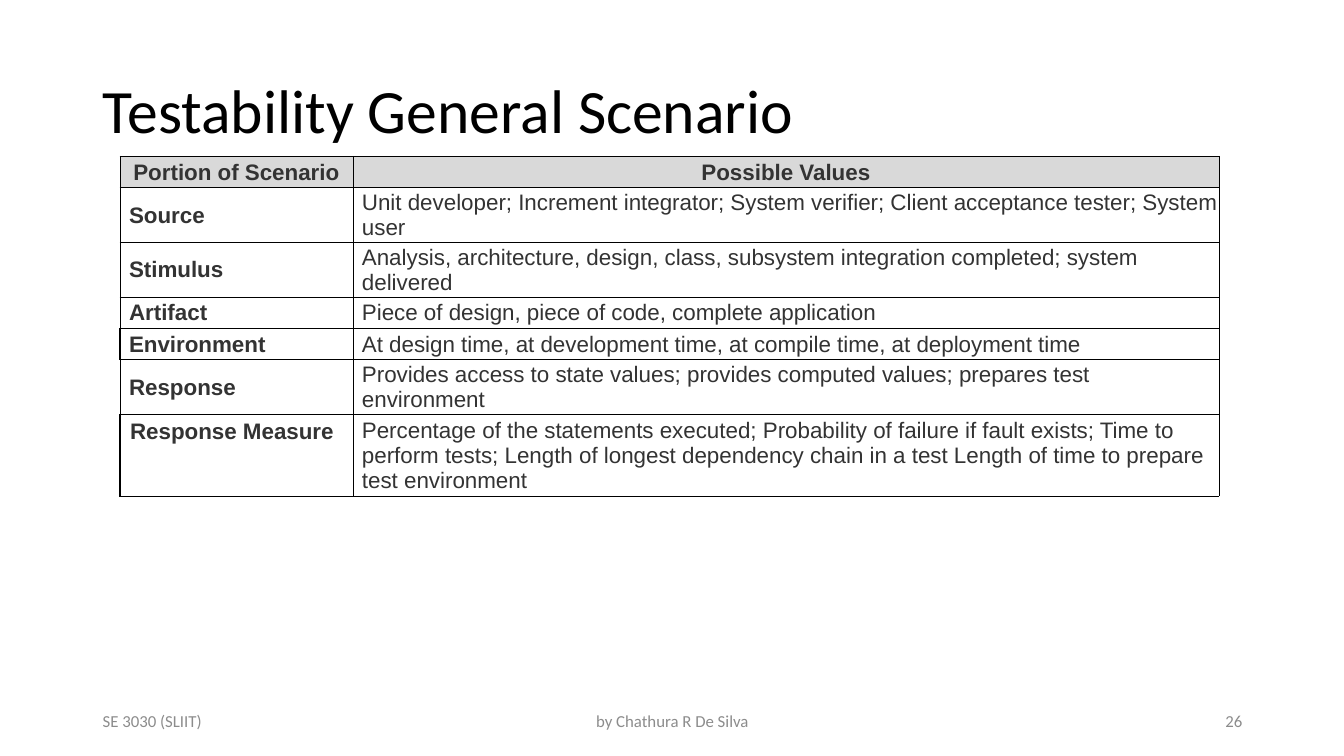
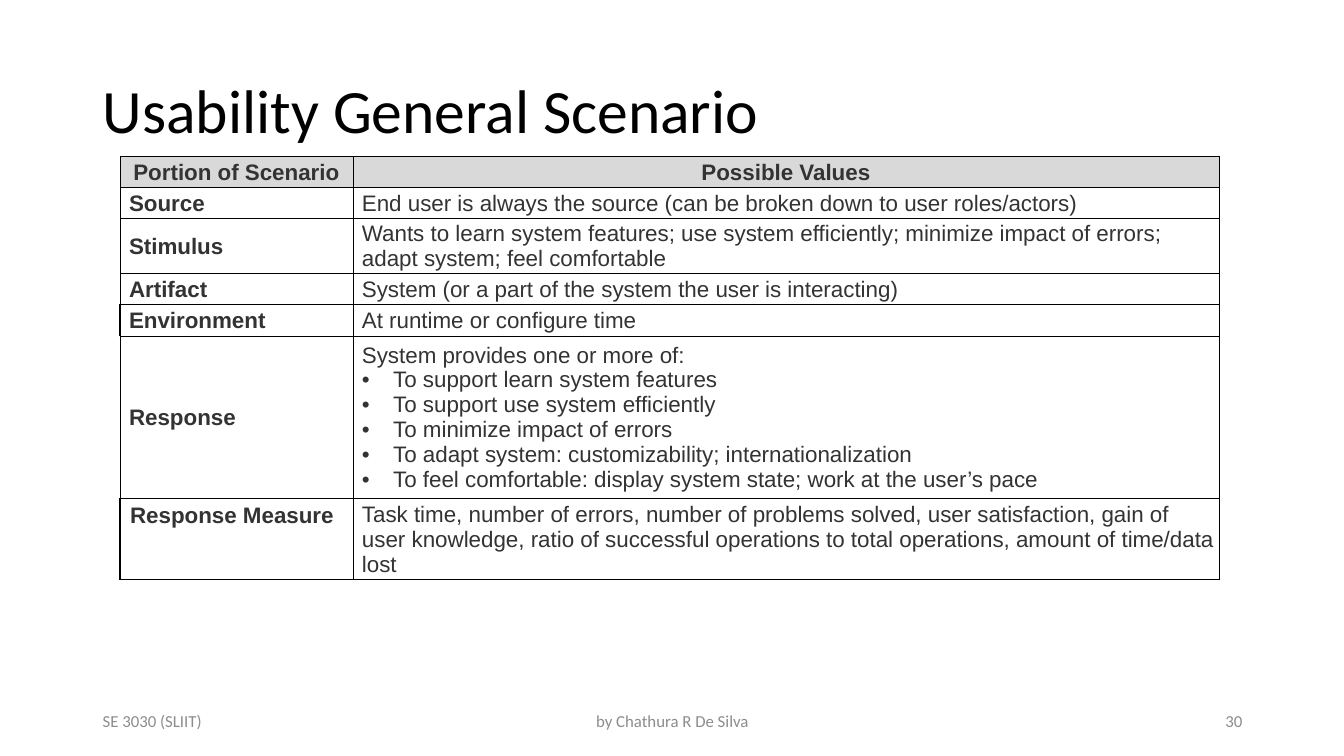
from lxml.etree import SubElement
from pptx import Presentation
from pptx.dml.color import RGBColor
from pptx.enum.text import MSO_ANCHOR, PP_ALIGN
from pptx.oxml import parse_xml
from pptx.oxml.ns import nsdecls, qn
from pptx.util import Inches, Pt

COLORS = {"title": "000000", "body": "333333", "footer": "8C8C8C",
          "header": "D9D9D9", "cell": "FFFFFF", "border": "000000"}
WIDTH, HEIGHT = 13.33, 7.5
TITLE_BOX = (0.92, 0.4, 11.5, 1.45)
FOOTER_BOX = (0.92, 6.95, 11.5, 0.4)
TABLE_BOX = (1.19, 1.55, 10.9, 0.31)
LABEL_SHARE = 2.31 / 10.9
BULLET_INDENT = 0.31
HEADINGS = ("Portion of Scenario", "Possible Values")
PORTIONS = ("Source", "Stimulus", "Artifact", "Environment", "Response", "Response Measure")
HEAVY_EDGES = {"Environment": ("L",), "Response Measure": ("L",)}

SCENARIOS = [
    ("Testability General Scenario", 26, [
        "Unit developer; Increment integrator; System verifier; Client acceptance tester; "
        "System user",
        "Analysis, architecture, design, class, subsystem integration completed; system delivered",
        "Piece of design, piece of code, complete application",
        "At design time, at development time, at compile time, at deployment time",
        "Provides access to state values; provides computed values; prepares test environment",
        "Percentage of the statements executed; Probability of failure if fault exists; "
        "Time to perform tests; Length of longest dependency chain in a test "
        "Length of time to prepare test environment",
    ]),
    ("Usability General Scenario", 30, [
        "End user is always the source (can be broken down to user roles/actors)",
        "Wants to learn system features; use system efficiently; minimize impact of errors; "
        "adapt system; feel comfortable",
        "System (or a part of the system the user is interacting)",
        "At runtime or configure time",
        ["System provides one or more of:",
         "To support learn system features",
         "To support use system efficiently",
         "To minimize impact of errors",
         "To adapt system: customizability; internationalization",
         "To feel comfortable: display system state; work at the user’s pace"],
        "Task time, number of errors, number of problems solved, user satisfaction, "
        "gain of user knowledge, ratio of successful operations to total operations, "
        "amount of time/data lost",
    ]),
]


def write_text(paragraph, text, size=16, font="Arial", color="body", bold=False,
               align=PP_ALIGN.LEFT, spacing=None):
    """Write one formatted run into a paragraph."""
    run = paragraph.add_run()
    run.text = text
    run.font.size = Pt(size)
    run.font.name = font
    run.font.bold = bold
    run.font.color.rgb = RGBColor.from_string(COLORS[color])
    paragraph.alignment = align
    if spacing:
        paragraph.line_spacing = spacing


def add_bullet(paragraph):
    """Give a paragraph a round bullet with a hanging indent."""
    properties = paragraph._p.get_or_add_pPr()
    properties.set("marL", str(Inches(BULLET_INDENT)))
    properties.set("indent", str(-Inches(BULLET_INDENT)))
    SubElement(properties, qn("a:buFont")).set("typeface", "Arial")
    SubElement(properties, qn("a:buChar")).set("char", "•")


def set_borders(cell, heavy=()):
    """Draw thin lines around a cell, thicker on the heavy edges."""
    properties = cell._tc.get_or_add_tcPr()
    for index, edge in enumerate("LRTB"):
        width = Pt(1 if edge in heavy else 0.5)
        properties.insert(index, parse_xml(
            f'<a:ln{edge} {nsdecls("a")} w="{width}"><a:solidFill>'
            f'<a:srgbClr val="{COLORS["border"]}"/></a:solidFill></a:ln{edge}>'))


def fill_cell(cell, content, fill="cell", left=0.09, anchor=MSO_ANCHOR.MIDDLE,
              top=0.01, heavy=(), **text_format):
    """Fill a cell with a text, or with a lead line and bullets."""
    lines = [content] if isinstance(content, str) else content
    cell.fill.solid()
    cell.fill.fore_color.rgb = RGBColor.from_string(COLORS[fill])
    cell.vertical_anchor = anchor
    cell.margin_left, cell.margin_top = Inches(left), Inches(top)
    cell.margin_right, cell.margin_bottom = Inches(0.01), 0
    frame = cell.text_frame
    for number, line in enumerate(lines):
        paragraph = frame.add_paragraph() if number else frame.paragraphs[0]
        write_text(paragraph, line, **text_format)
        if number:
            add_bullet(paragraph)
    set_borders(cell, heavy)


def place_title(slide, box, text):
    """Move the title placeholder into its box and write the title."""
    title = slide.shapes.title
    title.left, title.top, title.width, title.height = map(Inches, box)
    title.text_frame.vertical_anchor = MSO_ANCHOR.MIDDLE
    write_text(title.text_frame.paragraphs[0], text, size=44, font="Calibri",
               color="title", spacing=0.9)


def place_footer(slide, box, number):
    """Place course, author and slide number along the footer box."""
    left, top, width, height = box
    side, middle = 3, 4.5
    parts = [("SE 3030 (SLIIT)", 0, side, PP_ALIGN.LEFT),
             ("by Chathura R De Silva", (width - middle) / 2, middle, PP_ALIGN.CENTER),
             (str(number), width - side, side, PP_ALIGN.RIGHT)]
    for text, offset, part_width, align in parts:
        shape = slide.shapes.add_textbox(Inches(left + offset), Inches(top),
                                         Inches(part_width), Inches(height))
        shape.text_frame.word_wrap = True
        shape.text_frame.vertical_anchor = MSO_ANCHOR.MIDDLE
        write_text(shape.text_frame.paragraphs[0], text, size=12, font="Calibri",
                   color="footer", align=align)


def place_table(slide, box, values):
    """Place the scenario table, whose box gives the height of one row."""
    left, top, width, row_height = box
    rows = len(PORTIONS) + 1
    table = slide.shapes.add_table(rows, 2, Inches(left), Inches(top), Inches(width),
                                   Inches(row_height * rows)).table
    table.horz_banding = False
    table.columns[0].width = Inches(width * LABEL_SHARE)
    table.columns[1].width = Inches(width * (1 - LABEL_SHARE))
    for column, heading in enumerate(HEADINGS):
        fill_cell(table.cell(0, column), heading, fill="header", left=0.01,
                  bold=True, align=PP_ALIGN.CENTER)
    for row, (portion, value) in enumerate(zip(PORTIONS, values), start=1):
        layout = {}
        if portion == PORTIONS[-1]:
            layout = {"left": 0.1, "top": 0.05, "anchor": MSO_ANCHOR.TOP}
        fill_cell(table.cell(row, 0), portion, bold=True,
                  heavy=HEAVY_EDGES.get(portion, ()), **layout)
        fill_cell(table.cell(row, 1), value)


def build_scenario_slide(presentation, title, number, values):
    """Build one slide with title, footer and scenario table."""
    slide = presentation.slides.add_slide(presentation.slide_layouts[5])
    place_title(slide, TITLE_BOX, title)
    place_footer(slide, FOOTER_BOX, number)
    place_table(slide, TABLE_BOX, values)


def main():
    """Build and save the presentation."""
    presentation = Presentation()
    presentation.slide_width, presentation.slide_height = Inches(WIDTH), Inches(HEIGHT)
    for scenario in SCENARIOS:
        build_scenario_slide(presentation, *scenario)
    presentation.save("out.pptx")


main()
